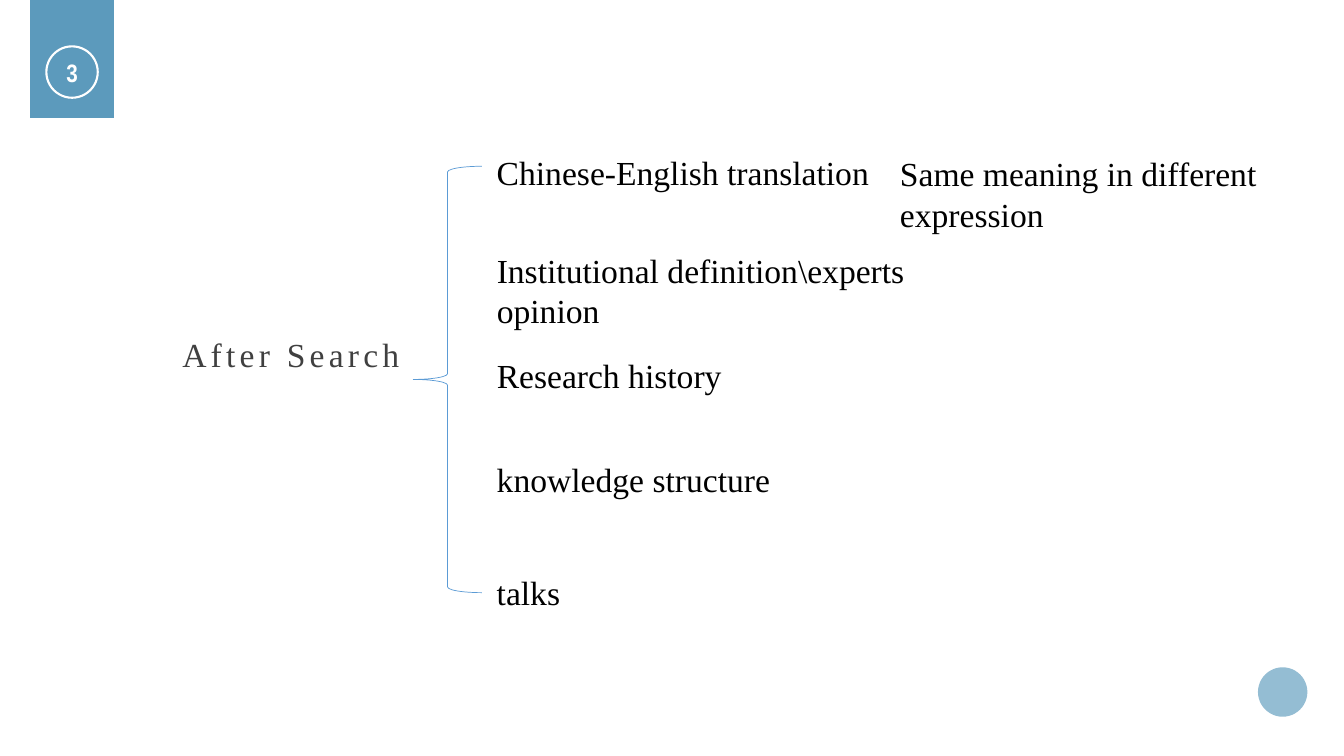
from dataclasses import dataclass

from pptx import Presentation
from pptx.dml.color import RGBColor
from pptx.enum.shapes import MSO_SHAPE
from pptx.enum.text import MSO_ANCHOR, MSO_AUTO_SIZE, PP_ALIGN
from pptx.util import Pt

RECT, OVAL, BRACE = MSO_SHAPE.RECTANGLE, MSO_SHAPE.OVAL, MSO_SHAPE.LEFT_BRACE
MIDDLE, CENTER = MSO_ANCHOR.MIDDLE, PP_ALIGN.CENTER
GROW = MSO_AUTO_SIZE.SHAPE_TO_FIT_TEXT
SERIF, NARROW = "Times New Roman", "Arial Narrow"
LEFT = 347.76  # shared left edge of the branch labels


@dataclass
class Form:
    kind: int
    x: float
    y: float
    w: float
    h: float
    fill: str = ""
    line: str = ""
    width: float = 0


@dataclass
class Label:
    text: str
    x: float
    y: float
    w: float
    h: float = 36
    wrap: bool = False
    color: str = "000000"


def paint(text: str) -> RGBColor:
    return RGBColor.from_string(text)


def set_font(par, name: str, size: float, color: str, bold: bool = False) -> None:
    font = par.font
    font.name, font.size, font.bold = name, Pt(size), bold
    font.color.rgb = paint(color)


def add_form(slide, form: Form):
    shape = slide.shapes.add_shape(
        form.kind, Pt(form.x), Pt(form.y), Pt(form.w), Pt(form.h))
    shape.shadow.inherit = False
    if form.fill:
        shape.fill.solid()
        shape.fill.fore_color.rgb = paint(form.fill)
    else:
        shape.fill.background()
    if form.line:
        shape.line.color.rgb = paint(form.line)
        shape.line.width = Pt(form.width)
    else:
        shape.line.fill.background()
    return shape


def add_label(slide, label: Label):
    box = slide.shapes.add_textbox(
        Pt(label.x), Pt(label.y), Pt(label.w), Pt(label.h))
    frame = box.text_frame
    frame.word_wrap = label.wrap
    frame.auto_size = GROW
    par = frame.paragraphs[0]
    par.text = label.text
    set_font(par, SERIF, 24, label.color)
    return box


LABELS = [
    Label("Chinese-English translation", LEFT, 105.12, 282.96),
    Label("Institutional definition\\experts opinion",
          LEFT, 174.96, 308.88, 65.52, True),
    Label("Research history", LEFT, 249.84, 176.4),
    Label("knowledge structure", LEFT, 324, 211.68),
    Label("talks", LEFT, 404.64, 60.48),
    Label("Same meaning in different expression",
          635.76, 105.84, 308.88, 65.52, True),
]


def main() -> None:
    deck = Presentation()
    deck.slide_width, deck.slide_height = Pt(960), Pt(540)
    slide = deck.slides.add_slide(deck.slide_layouts[6])

    # Page number tab and corner dot
    add_form(slide, Form(RECT, 21.6, 0, 59.76, 84.24, "5C9ABC"))
    ring = add_form(slide, Form(OVAL, 33.12, 33.12, 36.72, 36.72,
                                line="FFFFFF", width=1.5))
    frame = ring.text_frame
    frame.margin_left = frame.margin_right = 0
    frame.margin_top = frame.margin_bottom = 0
    frame.vertical_anchor = MIDDLE
    par = frame.paragraphs[0]
    par.text, par.alignment = "3", CENTER
    set_font(par, NARROW, 18, "FFFFFF", True)
    add_form(slide, Form(OVAL, 898.56, 476.64, 35.28, 35.28, "94BDD3"))

    # Root of the tree: vertical text in a box turned to read across
    root = add_label(slide, Label("After Search", 255.6, 102.24, 43.92, 308.88,
                                  True, "404040"))
    root.rotation = 270
    frame = root.text_frame
    frame._txBody.bodyPr.set("vert", "eaVert")
    frame.paragraphs[0].runs[0].font._element.set("spc", "300")

    # Brace and branches
    add_form(slide, Form(BRACE, 295.2, 118.8, 48.96, 304.56,
                         line="5B9BD5", width=0.5))
    for label in LABELS:
        add_label(slide, label)

    deck.save("out.pptx")


if __name__ == "__main__":
    main()
